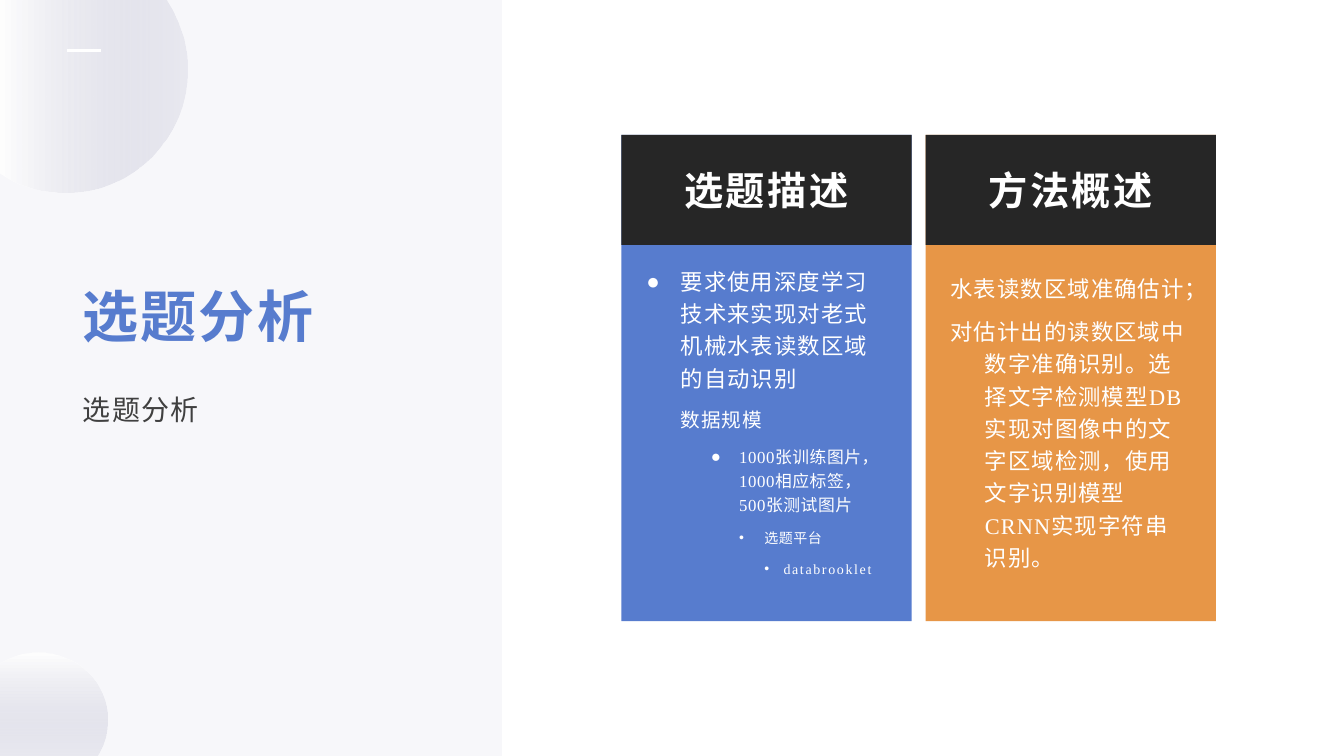
from math import cos, radians, sin

from lxml.etree import SubElement
from pptx import Presentation
from pptx.dml.color import RGBColor
from pptx.enum.lang import MSO_LANGUAGE_ID
from pptx.enum.shapes import MSO_CONNECTOR, MSO_SHAPE
from pptx.enum.text import MSO_ANCHOR, PP_ALIGN
from pptx.oxml.ns import qn
from pptx.util import Inches, Pt

COLUMNS, ROWS = 160, 90
FONT = "Times New Roman"
BLUE, ORANGE, BLACK, WHITE = "577CCE", "E79647", "262626", "FFFFFF"
LAVENDER, PALE, GREY = "BEBED2", "F5F5F8", "404040"
NUMBERED = "ea1JpnChsDbPeriod"

# Each segment holds one point for a straight line, three for a curve.
TOP_CIRCLE = [
    [(0, 20.52)], [(0, 0)], [(19.8, 0)], [(20.52, 1.2)],
    [(21.6, 3.24), (22.32, 5.64), (22.32, 8.16)],
    [(22.32, 16.32), (15.84, 22.92), (7.8, 22.92)],
    [(5.28, 22.92), (3, 22.32), (0.96, 21.12)]]
BOTTOM_CIRCLE = [
    [(11.52, 90.1)], [(0, 90.1)], [(0, 78.96)], [(0.6, 78.6)],
    [(1.8, 78), (3.12, 77.64), (4.56, 77.64)],
    [(9.12, 77.64), (12.84, 81.24), (12.84, 85.68)],
    [(12.84, 87.12), (12.48, 88.44), (11.88, 89.52)]]


def color(value):
    return RGBColor.from_string(value)


def line(text, size, spacing, **style):
    return dict(text=text, size=size, spacing=spacing, **style)


def turn_back(points, degrees):
    """Turn points about the middle of their bounds, against a shape's rotation."""
    middle_x, middle_y = (
        (min(values) + max(values)) / 2 for values in zip(*points))
    cosine, sine = cos(radians(degrees)), sin(radians(degrees))
    return [(middle_x + (x - middle_x) * cosine + (y - middle_y) * sine,
             middle_y - (x - middle_x) * sine + (y - middle_y) * cosine)
            for x, y in points]


class SlideBuilder:
    """Draws on one slide; lengths are columns and rows of a 160 by 90 grid."""

    def __init__(self, presentation):
        self.slide = presentation.slides.add_slide(presentation.slide_layouts[6])
        self.column = presentation.slide_width / COLUMNS
        self.row = presentation.slide_height / ROWS

    def place(self, x, y):
        return round(x * self.column), round(y * self.row)

    def set_alpha(self, color_element, percent):
        SubElement(color_element, qn("a:alpha")).set("val", str(percent * 1000))

    def rectangle(self, left, top, width, height, fill, alpha=None):
        shape = self.slide.shapes.add_shape(
            MSO_SHAPE.RECTANGLE, *self.place(left, top), *self.place(width, height))
        shape.shadow.inherit = False
        shape.line.fill.background()
        shape.fill.solid()
        shape.fill.fore_color.rgb = color(fill)
        if alpha:
            self.set_alpha(shape.fill._xPr.find(f".//{qn('a:srgbClr')}"), alpha)

    def curved_outline(self, segments, rotation, tones):
        """A rotated outline with a two-tone gradient; lavender is translucent."""
        points = turn_back([point for part in segments for point in part], rotation)
        corners = [self.place(*point) for point in points]
        builder = self.slide.shapes.build_freeform(*corners[0])
        builder.add_line_segments(corners[1:], close=True)
        shape = builder.convert_to_shape()
        self.bend(shape, segments)
        shape.rotation = rotation
        shape.shadow.inherit = False
        shape.line.fill.background()
        shape.fill.gradient()
        shape.fill.gradient_angle = 270
        for stop, tone in zip(shape.fill.gradient_stops, tones):
            stop.color.rgb = color(tone)
        for element in shape.fill._xPr.iter(qn("a:srgbClr")):
            if element.get("val") == LAVENDER:
                self.set_alpha(element, 24)

    def bend(self, shape, segments):
        """Merge the three straight steps of each curved segment into one curve."""
        steps = iter(list(shape._element.iter(qn("a:lnTo"))))
        for segment in segments[1:]:
            first, *others = [next(steps) for _ in segment]
            if others:
                first.tag = qn("a:cubicBezTo")
                for step in others:
                    first.append(step[0])
                    step.getparent().remove(step)

    def rule(self, start, end, y, tone, width):
        connector = self.slide.shapes.add_connector(
            MSO_CONNECTOR.STRAIGHT, *self.place(start, y), *self.place(end, y))
        connector.line.color.rgb = color(tone)
        connector.line.width = Pt(width)
        SubElement(connector._element.spPr, qn("a:effectLst"))

    def text(self, left, top, width, height, lines, tone=WHITE,
             anchor=MSO_ANCHOR.MIDDLE, insets=(0.1, 0.05)):
        box = self.slide.shapes.add_textbox(
            *self.place(left, top), *self.place(width, height))
        frame = box.text_frame
        frame.word_wrap = True
        frame.vertical_anchor = anchor
        frame.margin_left = frame.margin_right = Inches(insets[0])
        frame.margin_top = frame.margin_bottom = Inches(insets[1])
        for index, item in enumerate(lines):
            paragraph = frame.add_paragraph() if index else frame.paragraphs[0]
            self.format_paragraph(paragraph, item)
            self.add_run(paragraph, item, tone)

    def format_paragraph(self, paragraph, item):
        paragraph.alignment = item.get("align", PP_ALIGN.LEFT)
        paragraph.level = item.get("level", 0)
        if not item.get("bold"):
            paragraph.line_spacing = 1.2
            paragraph.space_after = Pt(8)
        properties = paragraph._p.get_or_add_pPr()
        margin, indent = item.get("indent", (0, 0))
        properties.set("marL", str(Inches(margin)))
        properties.set("indent", str(Inches(indent)))
        bullet = item.get("bullet")
        if bullet == NUMBERED:
            SubElement(properties, qn("a:buAutoNum")).set("type", bullet)
        elif bullet:
            SubElement(properties, qn("a:buFont")).set("typeface", "Arial")
            SubElement(properties, qn("a:buChar")).set("char", bullet)

    def add_run(self, paragraph, item, tone):
        run = paragraph.add_run()
        run.text = item["text"]
        run.font.name = FONT
        run.font.size = Pt(item["size"])
        run.font.bold = item.get("bold", False)
        run.font.color.rgb = color(tone)
        run.font.language_id = MSO_LANGUAGE_ID.SIMPLIFIED_CHINESE
        run._r.get_or_add_rPr().set("spc", str(round(item["spacing"] * 100)))

    def card(self, left, fill, heading, lines):
        top, width, padding = 16.06, 34.56, 1.8
        text_left, text_width = left + padding, width - 2 * padding
        self.rectangle(left, top, width, 57.9, fill)
        self.rectangle(left, top, width, 13.1, BLACK)
        self.text(text_left, 29.44, text_width, 41.16, lines)
        self.text(text_left, 18.72, text_width, 7.68,
                  [line(heading, 28, 2, bold=True, align=PP_ALIGN.CENTER)])


def main():
    presentation = Presentation()
    presentation.slide_width = Inches(13.33)
    presentation.slide_height = Inches(7.5)
    builder = SlideBuilder(presentation)

    builder.rectangle(0, 0, 59.76, ROWS, PALE, alpha=70)
    builder.curved_outline(TOP_CIRCLE, 270, (WHITE, LAVENDER))
    builder.curved_outline(BOTTOM_CIRCLE, 180, (LAVENDER, WHITE))
    builder.rule(12, 8, 6, WHITE, 2)

    title_insets = (0.07, 0.03)
    builder.text(9, 28, 40.8, 13.92, [line("选题分析", 40, 1.6, bold=True)],
                 BLUE, MSO_ANCHOR.BOTTOM, title_insets)
    builder.text(9, 45.6, 40.8, 14.16, [line("选题分析", 20, 1)],
                 GREY, MSO_ANCHOR.TOP, title_insets)

    hanging = (0.34, -0.34)
    description = [
        line("要求使用深度学习技术来实现对老式机械水表读数区域的自动识别",
             16, 0.8, indent=hanging, bullet="●"),
        line("数据规模", 14, 0.6, level=1, indent=(0.34, 0)),
        line("1000张训练图片，1000相应标签，500张测试图片",
             12, 0.4, level=2, indent=(0.92, -0.28), bullet="●"),
        line("选题平台", 10, 0.4, level=3, indent=(1.17, -0.25), bullet="•"),
        line("databrooklet", 10, 1.2, level=4, indent=(1.36, -0.19), bullet="•"),
    ]
    method = [
        line(text, 16, 0.8, indent=hanging, bullet=NUMBERED)
        for text in (
            "水表读数区域准确估计；",
            "对估计出的读数区域中数字准确识别。选择文字检测模型DB实现对图像中的"
            "文字区域检测，使用文字识别模型CRNN实现字符串识别。")]
    cards = [(BLUE, "选题描述", description), (ORANGE, "方法概述", method)]
    for index, content in enumerate(cards):
        builder.card(73.98 + index * 36.2, *content)

    presentation.save("out.pptx")


if __name__ == "__main__":
    main()
